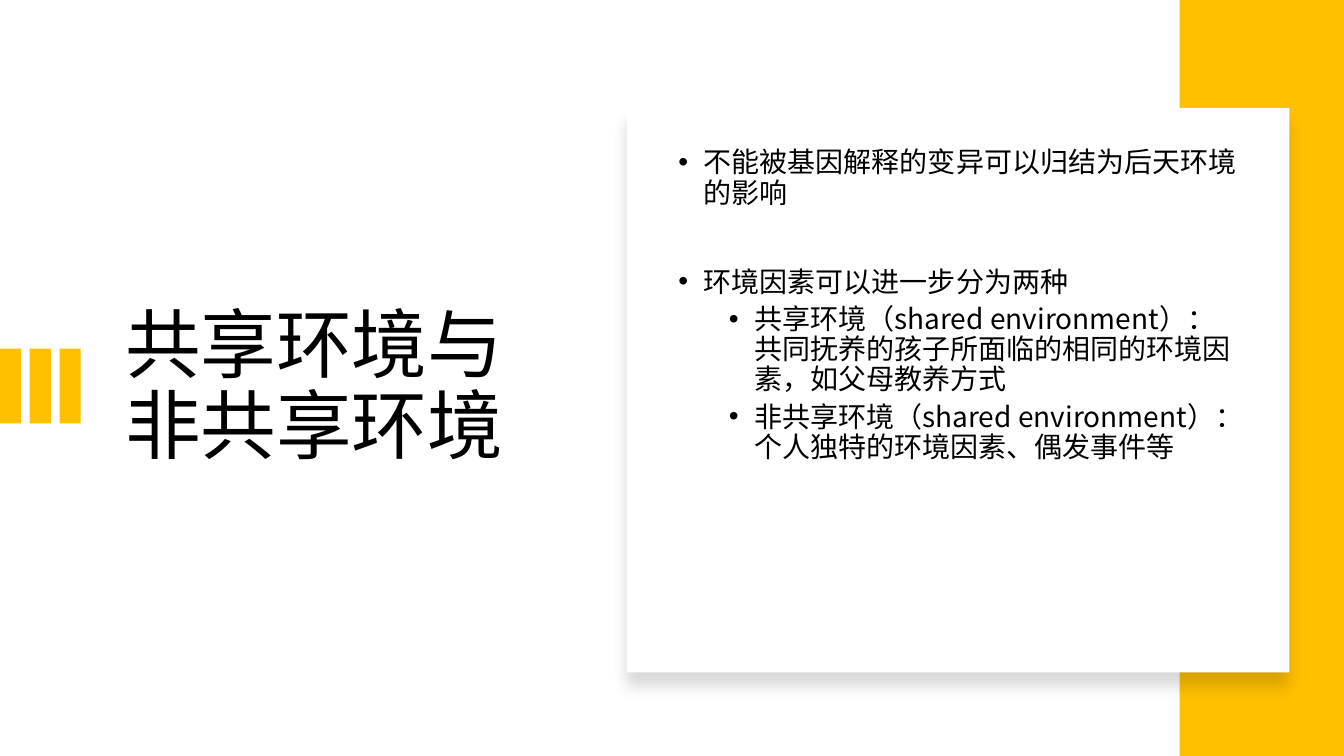
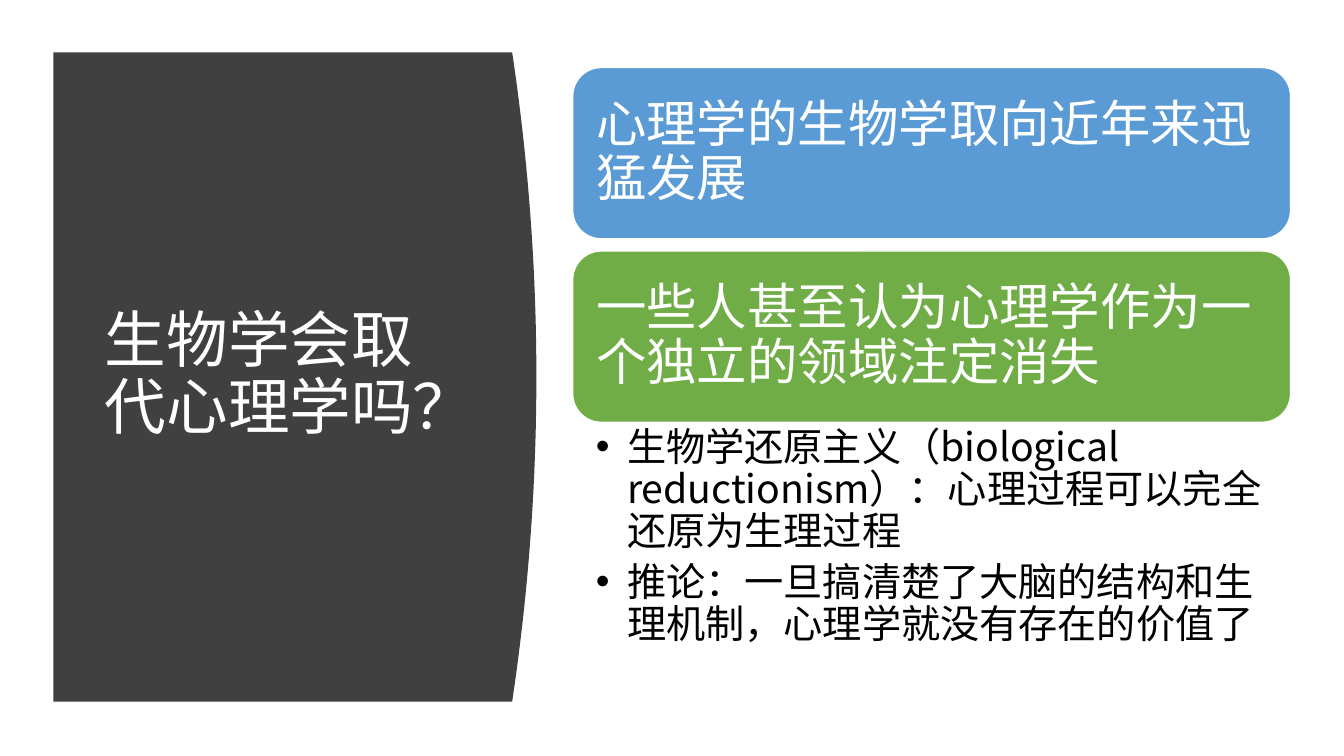
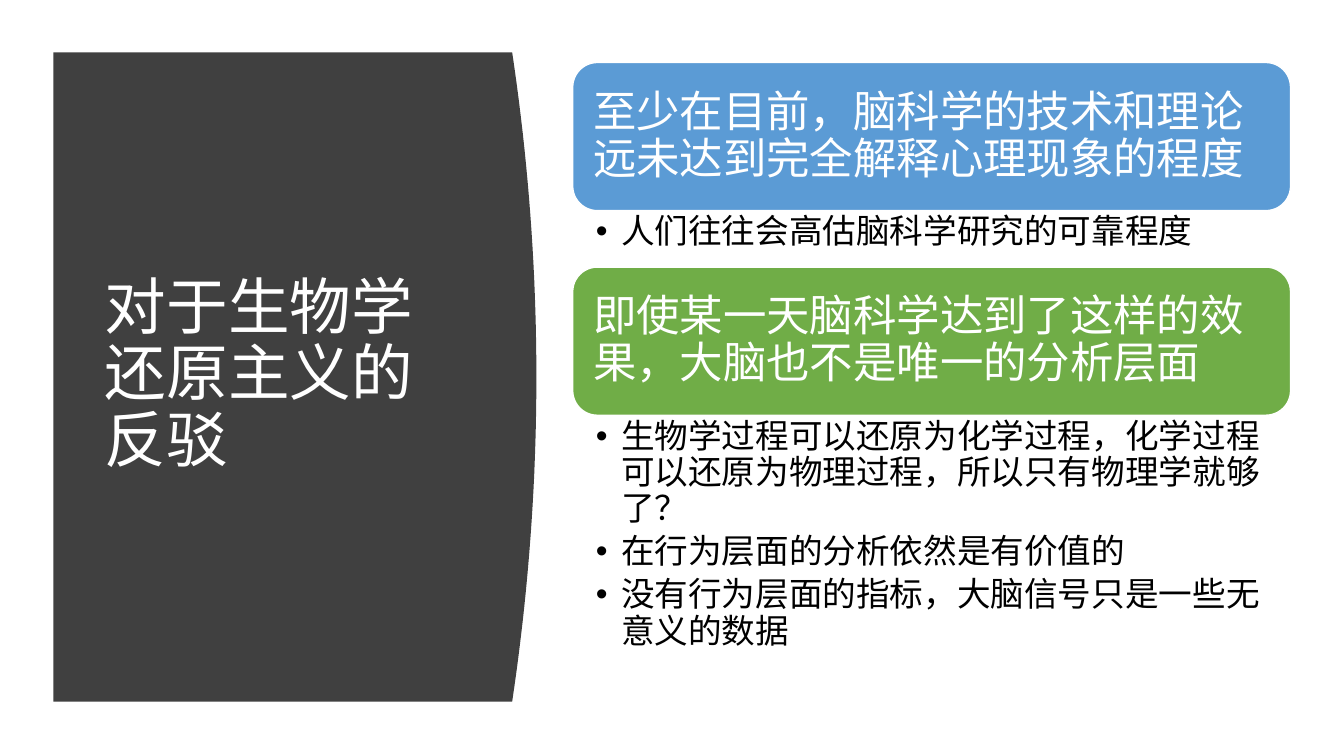
"""Builds three slides on environment and biological reductionism."""
from lxml import etree
from pptx import Presentation
from pptx import util as u
from pptx.dml.color import RGBColor
from pptx.enum import shapes, text
from pptx.oxml.ns import qn

FACE = "Noto Sans CJK SC"
BLACK, WHITE, GOLD, DARK = "000000", "FFFFFF", "FFC000", "404040"
HUES = ["5B9BD5", "70AD47"]
RECT = shapes.MSO_SHAPE.RECTANGLE
ROUND = shapes.MSO_SHAPE.ROUNDED_RECTANGLE
MID, TOP = text.MSO_ANCHOR.MIDDLE, text.MSO_ANCHOR.TOP

POINTS = [
    ("不能被基因解释的变异可以归结为后天环境的影响", 0, 0),
    ("环境因素可以进一步分为两种", 0, 42),
    ("共享环境（shared environment）：共同抚养的孩子所面临的相同的环境因素，如父母教养方式", 1, 5),
    ("非共享环境（shared environment）：个人独特的环境因素、偶发事件等", 1, 5),
]
DECKS = [
    dict(title="生物学会取代心理学吗？", top=0.67, high=1.7, pad=0.15, size=36,
         small=28, hang=0.31, inset=(0.23, 0.05, 0.28, 0.05), cards=[
             ("心理学的生物学取向近年来迅猛发展", [], 0.12),
             ("一些人甚至认为心理学作为一个独立的领域注定消失", [
                 "生物学还原主义（biological reductionism）：心理过程可以完全还原为生理过程",
                 "推论：一旦搞清楚了大脑的结构和生理机制，心理学就没有存在的价值了"], 2.61)]),
    dict(title="对于生物学还原主义的反驳", top=0.62, high=1.47, pad=0.13, size=31,
         small=24, hang=0.25, inset=(0.23, 0.04, 0.24, 0.04), cards=[
             ("至少在目前，脑科学的技术和理论远未达到完全解释心理现象的程度",
              ["人们往往会高估脑科学研究的可靠程度"], 0.56),
             ("即使某一天脑科学达到了这样的效果，大脑也不是唯一的分析层面", [
                 "生物学过程可以还原为化学过程，化学过程可以还原为物理过程，所以只有物理学就够了？",
                 "在行为层面的分析依然是有价值的",
                 "没有行为层面的指标，大脑信号只是一些无意义的数据"], 2.74)]),
]


def rgb(hue):
    """Turn a hex string into a colour."""
    return RGBColor.from_string(hue)


def place(box):
    """Turn inches into lengths."""
    return [u.Inches(n) for n in box]


def write(shape, paras, size, hue=BLACK, anchor=MID, inset=(0.1, 0.05, 0.1, 0.05),
          hang=0, after=0):
    """Fill a shape with (text, level, space before) paragraphs."""
    frame = shape.text_frame
    frame.word_wrap = True
    frame.auto_size = text.MSO_AUTO_SIZE.NONE
    frame.vertical_anchor = anchor
    (frame.margin_left, frame.margin_top,
     frame.margin_right, frame.margin_bottom) = place(inset)
    for i, (words, level, before) in enumerate(paras):
        para = frame.add_paragraph() if i else frame.paragraphs[0]
        para.alignment = text.PP_ALIGN.LEFT
        para.level = level
        para.line_spacing = 0.9
        para.space_before, para.space_after = u.Pt(before), u.Pt(after)
        if hang:
            props = para._p.get_or_add_pPr()
            props.set("marL", str(u.Inches(hang + level * 0.5)))
            props.set("indent", str(-u.Inches(hang)))
            etree.SubElement(props, qn("a:buFont")).set("typeface", "Arial")
            etree.SubElement(props, qn("a:buChar")).set("char", "•")
        run = para.add_run()
        run.text = words
        run.font.size, run.font.name = u.Pt(size), FACE
        run.font.color.rgb = rgb(hue)
        etree.SubElement(run._r.get_or_add_rPr(), qn("a:ea")).set("typeface", FACE)


def paint(shape, fill, line=None):
    """Give a shape a flat fill and an optional outline."""
    shape.shadow.inherit = False
    shape.fill.solid()
    shape.fill.fore_color.rgb = rgb(fill)
    if line:
        shape.line.color.rgb = rgb(line)
        shape.line.width = u.Pt(1)
    else:
        shape.line.fill.background()
    return shape


def block(slide, kind, box, fill, line=None):
    """Add a painted preset shape."""
    return paint(slide.shapes.add_shape(kind, *place(box)), fill, line)


def label(slide, box, paras, **form):
    """Add a text box."""
    write(slide.shapes.add_textbox(*place(box)), paras, **form)


def start(deck, title, box, **form):
    """Add a slide with a formatted title."""
    slide = deck.slides.add_slide(deck.slide_layouts[5])
    head = slide.shapes.title
    head.left, head.top, head.width, head.height = place(box)
    write(head, [(title, 0, 0)], **form)
    return slide


def shade(shape):
    """Cast a soft shadow straight down."""
    cast = etree.SubElement(shape._element.spPr.find(qn("a:effectLst")), qn("a:outerShdw"))
    for key, val in dict(blurRad=u.Pt(11), dist=u.Pt(10), dir=5400000, algn="t",
                         rotWithShape=0).items():
        cast.set(key, str(val))
    tint = etree.SubElement(cast, qn("a:srgbClr"), val=BLACK)
    etree.SubElement(tint, qn("a:alpha"), val="15000")


def panel(slide):
    """Draw the dark panel with a bowed right edge behind the title."""
    left, top, side, bulge, half, steps = 0.53, 0.52, 5.08, 0.24, 3.22, 40
    edge = []
    for i in range(steps + 1):
        t = 2 * i / steps - 1
        edge.append(place((side + bulge * (1 - t * t), top + half * (1 + t))))
    pen = slide.shapes.build_freeform(u.Inches(left), u.Inches(top))
    pen.add_line_segments(edge + [place((left, top + 2 * half))], close=True)
    shape = paint(pen.convert_to_shape(), DARK)
    slide.shapes._spTree.insert(2, shape._element)


def factors(deck):
    """Build the slide on shared environment."""
    slide = start(deck, "共享环境与非共享环境", (1.14, 1.46, 4.26, 4.79), size=54)
    for i in range(3):
        block(slide, RECT, (i * 0.295, 3.46, 0.21, 0.74), GOLD)
    block(slide, RECT, (11.7, 0, 1.63, 7.5), GOLD)
    shade(block(slide, RECT, (6.22, 1.07, 6.57, 5.6), WHITE))
    label(slide, (6.63, 0.64, 5.75, 4.79), POINTS, size=20, hang=0.25)


def stack(deck, data):
    """Build a slide of cards with bullets under them."""
    slide = start(deck, data["title"], (0.94, 1.11, 3.74, 5.24), size=44, hue=WHITE)
    panel(slide)
    left, wide, y = 5.68, 7.12, data["top"]
    for hue, (head, notes, room) in zip(HUES, data["cards"]):
        card = block(slide, ROUND, (left, y, wide, data["high"]), hue, WHITE)
        write(card, [(head, 0, 0)], size=data["size"], hue=WHITE,
              inset=[data["pad"]] * 4, after=data["size"] * 0.35)
        y += data["high"]
        if notes:
            label(slide, (left, y, wide, room), [(note, 0, 0) for note in notes],
                  size=data["small"], anchor=TOP, inset=data["inset"],
                  hang=data["hang"], after=data["small"] * 0.2)
        y += room


def main():
    """Build and save the slides."""
    deck = Presentation()
    deck.slide_width, deck.slide_height = place((13.33, 7.5))
    factors(deck)
    for data in DECKS:
        stack(deck, data)
    deck.save("out.pptx")


if __name__ == "__main__":
    main()
